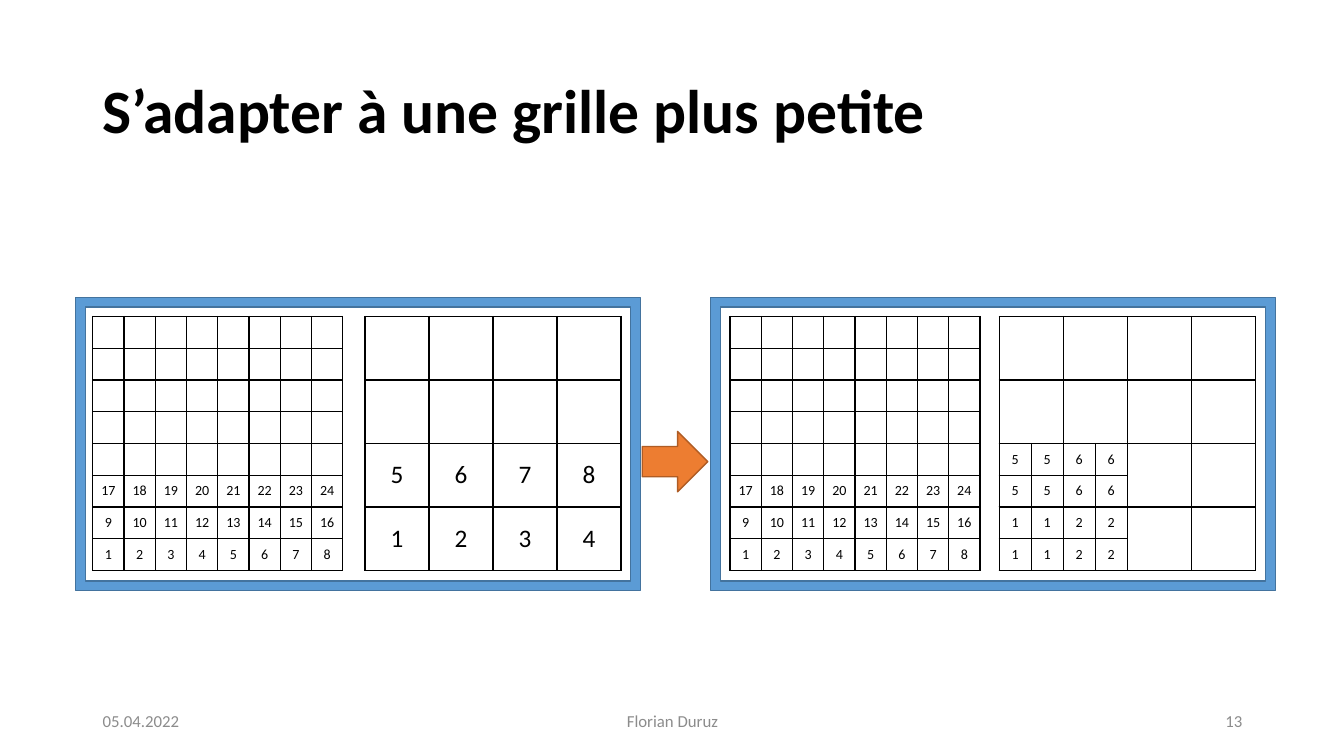
import pptx
import pptx.dml.color
import pptx.enum.shapes
import pptx.enum.text
import pptx.util
from lxml import etree
from pptx.util import Inches

COLOURS = {
    "text": "000000",
    "footer": "8C8C8C",
    "frame": "5B9BD5",
    "frame_line": "43739E",
    "arrow": "ED7D31",
    "arrow_line": "AF5C24",
}
FONT = "Calibri"
ALIGN = pptx.enum.text.PP_ALIGN
MIDDLE = pptx.enum.text.MSO_ANCHOR.MIDDLE
SHAPES = pptx.enum.shapes.MSO_SHAPE
GRID_HEIGHT = 2.52
FINE_WIDTH = 2.48
COARSE_WIDTH = 2.54
GRID_TOP = 0.19


def colour(name):
    return pptx.dml.color.RGBColor.from_string(COLOURS[name])


def write(para, text, size, color="text", bold=False, align=ALIGN.LEFT, spacing=None):
    para.alignment = align
    para.line_spacing = spacing
    span = para.add_run()
    span.text = text
    span.font.name = FONT
    span.font.size = pptx.util.Pt(size)
    span.font.bold = bold
    span.font.color.rgb = colour(color)


def add_text(page, box, text, **style):
    frame = page.shapes.add_textbox(*map(Inches, box)).text_frame
    frame.word_wrap = True
    frame.vertical_anchor = MIDDLE
    write(frame.paragraphs[0], text, **style)


def add_figure(page, kind, box, fill, line):
    figure = page.shapes.add_shape(kind, *map(Inches, box))
    figure.shadow.inherit = False
    figure.fill.solid()
    figure.fill.fore_color.rgb = colour(fill)
    figure.line.color.rgb = colour(line)
    figure.line.width = pptx.util.Pt(1)
    return figure


def add_borders(cell):
    properties = cell._tc.get_or_add_tcPr()
    for side in ("lnL", "lnR", "lnT", "lnB"):
        border = etree.SubElement(properties, pptx.oxml.ns.qn(f"a:{side}"), w="12700")
        fill = etree.SubElement(border, pptx.oxml.ns.qn("a:solidFill"))
        etree.SubElement(fill, pptx.oxml.ns.qn("a:srgbClr"), val=COLOURS["text"])


def set_empty_size(para, size):
    etree.SubElement(para._p, pptx.oxml.ns.qn("a:endParaRPr"), sz=str(size * 100))


def add_grid(page, box, count, numbers, size, insets):
    left, top, width, height = box
    table = page.shapes.add_table(count, count, *map(Inches, box)).table
    table.first_row = False
    table.horz_banding = False
    for column in table.columns:
        column.width = Inches(width / count)
    for row in table.rows:
        row.height = Inches(height / count)
    for index, cell in enumerate(table.iter_cells()):
        add_borders(cell)
        cell.fill.background()
        cell.vertical_anchor = MIDDLE
        cell.margin_left = cell.margin_right = Inches(insets[0])
        cell.margin_top = cell.margin_bottom = Inches(insets[1])
        row, column = divmod(index, count)
        number = numbers(count - 1 - row, column)
        para = cell.text_frame.paragraphs[0]
        if number:
            write(para, str(number), size, align=ALIGN.CENTER)
        else:
            set_empty_size(para, size)


def numbered_rows(count, filled):
    def number(row, column):
        return row * count + column + 1 if row < filled else None

    return number


def add_fine_grid(page, left, top):
    box = (left, top, FINE_WIDTH, GRID_HEIGHT)
    add_grid(page, box, 8, numbered_rows(8, 3), 10, (0.08, 0.04))


def add_coarse_grid(page, left, top, filled):
    box = (left, top, COARSE_WIDTH, GRID_HEIGHT)
    add_grid(page, box, 4, numbered_rows(4, filled), 18, (0.1, 0.05))


def add_split_cells(page, left, top):
    width, height = COARSE_WIDTH / 4, GRID_HEIGHT / 4
    for row, pair in enumerate(((5, 6), (1, 2)), start=2):
        for column, value in enumerate(pair):
            box = (left + column * width, top + row * height, width, height)
            add_grid(page, box, 2, lambda *place: value, 10, (0.06, 0.03))


def add_panel(page, box, fine_inset, coarse_inset, split):
    left, top, width, height = box
    grid_top = top + GRID_TOP
    add_coarse_grid(page, left + coarse_inset, grid_top, 0 if split else 2)
    if split:
        add_split_cells(page, left + coarse_inset, grid_top)
    add_fine_grid(page, left + fine_inset, grid_top)
    border = add_figure(page, SHAPES.FRAME, box, "frame", "frame_line")
    border.adjustments[0] = 0.033


def add_footer(page, box):
    left, top, width, height = box
    parts = (
        ("05.04.2022", 0, 3, ALIGN.LEFT),
        ("Florian Duruz", 3.5, 4.5, ALIGN.CENTER),
        ("13", width - 3, 3, ALIGN.RIGHT),
    )
    for text, offset, part_width, align in parts:
        place = (left + offset, top, part_width, height)
        add_text(page, place, text, size=12, color="footer", align=align)


def main():
    deck = pptx.Presentation()
    deck.slide_width, deck.slide_height = Inches(13.33), Inches(7.5)
    page = deck.slides.add_slide(deck.slide_layouts[6])
    add_text(page, (0.92, 0.4, 11.5, 1.45), "S’adapter à une grille plus petite",
             size=44, bold=True, spacing=0.9)
    add_panel(page, (0.75, 2.95, 5.6, 2.91), 0.17, 2.87, split=False)
    add_figure(page, SHAPES.RIGHT_ARROW, (6.37, 4.28, 0.65, 0.6), "arrow", "arrow_line")
    add_panel(page, (7.05, 2.95, 5.6, 2.91), 0.19, 2.86, split=True)
    add_footer(page, (0.92, 6.95, 11.5, 0.4))
    deck.save("out.pptx")


if __name__ == "__main__":
    main()
